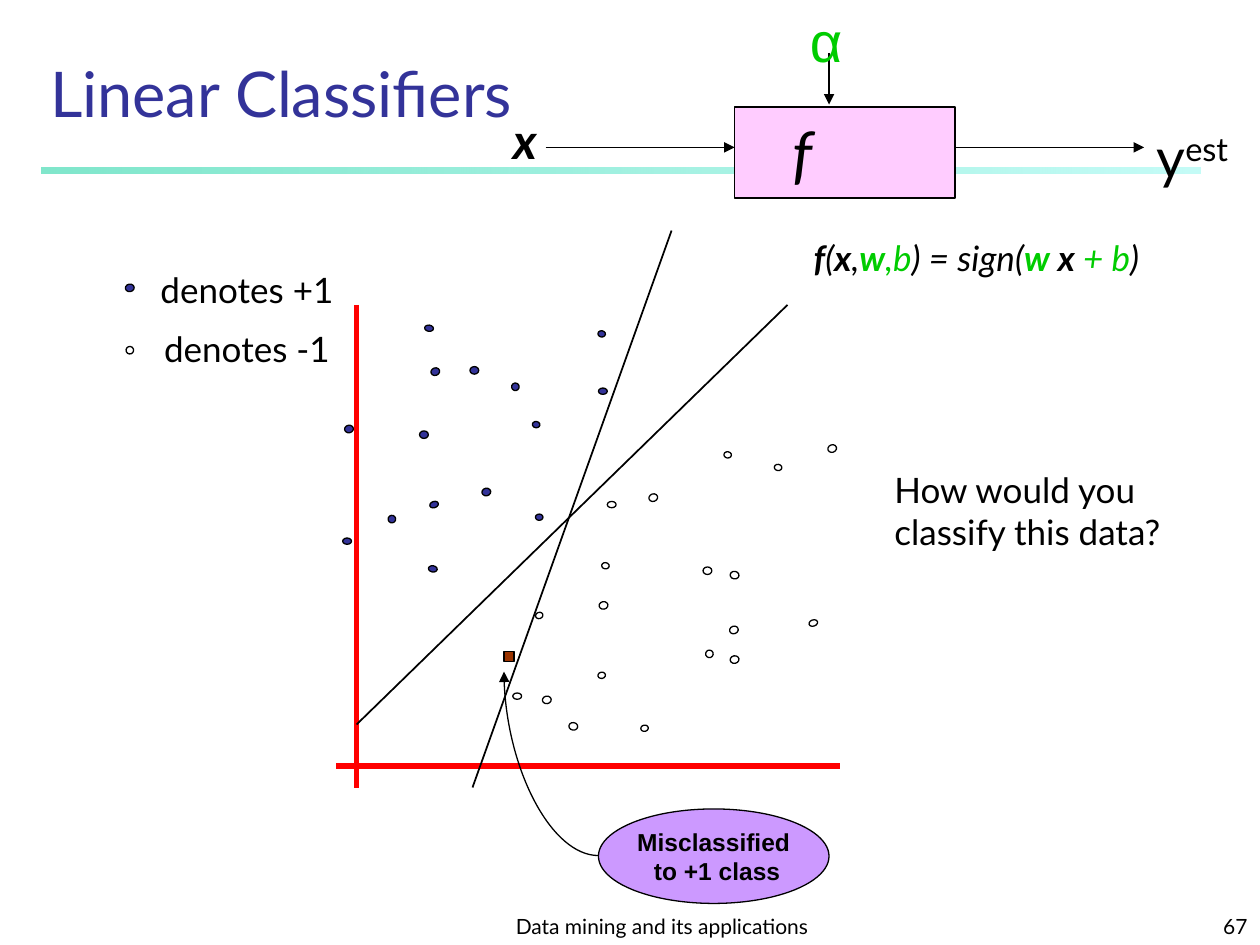
"""Build the Linear Classifiers slide with its scatter plot and block diagram."""
from dataclasses import dataclass

from lxml import etree
from pptx import Presentation
from pptx.dml.color import RGBColor
from pptx.enum.shapes import MSO_CONNECTOR, MSO_SHAPE
from pptx.enum.text import MSO_ANCHOR, MSO_AUTO_SIZE, PP_ALIGN
from pptx.oxml.ns import qn
from pptx.util import Pt

PX = 9144
RECTANGLE, OVAL = MSO_SHAPE.RECTANGLE, MSO_SHAPE.OVAL
STRAIGHT, CURVE = MSO_CONNECTOR.STRAIGHT, MSO_CONNECTOR.CURVE
LEFT, CENTER, RIGHT = PP_ALIGN.LEFT, PP_ALIGN.CENTER, PP_ALIGN.RIGHT
TOP, MIDDLE, BOTTOM = MSO_ANCHOR.TOP, MSO_ANCHOR.MIDDLE, MSO_ANCHOR.BOTTOM


@dataclass(frozen=True)
class Theme:
    body_font: str = "Lato"
    label_font: str = "Arial"
    ink: str = "000000"
    navy: str = "333399"
    green: str = "00CC00"
    red: str = "FF0000"
    white: str = "FFFFFF"
    pink: str = "FFCCFF"
    violet: str = "CC99FF"
    brown: str = "993300"
    bar_start: str = "00CE98"
    bar_end: str = "8FF9EF"
    title: int = 36
    symbol: int = 32
    vector: int = 28
    body: int = 20
    callout: int = 14
    footer: int = 12


THEME = Theme()


def write(frame, paragraphs, size, align=LEFT, anchor=TOP, font=THEME.body_font):
    frame.word_wrap = True
    frame.auto_size = MSO_AUTO_SIZE.NONE
    frame.vertical_anchor = anchor
    for index, runs in enumerate(paragraphs):
        para = frame.paragraphs[0] if index == 0 else frame.add_paragraph()
        para.alignment = align
        for text, color, style in runs:
            span = para.add_run()
            span.text = text
            span.font.name = font
            span.font.size = Pt(size)
            span.font.color.rgb = RGBColor.from_string(color)
            span.font.bold = "b" in style
            span.font.italic = "i" in style
            if "^" in style:
                span.font._element.set("baseline", "30000")


deck = Presentation()
deck.slide_width, deck.slide_height = 1000 * PX, 750 * PX
page = deck.slides.add_slide(deck.slide_layouts[5])
ink, green, navy, white = THEME.ink, THEME.green, THEME.navy, THEME.white

bar = page.shapes.add_shape(RECTANGLE, 33 * PX, 133 * PX, 920 * PX, 5 * PX)
bar.shadow.inherit = False
bar.line.fill.background()
bar.fill.gradient()
bar.fill.gradient_angle = 0
for stop, color in zip(bar.fill.gradient_stops, (THEME.bar_start, THEME.bar_end)):
    stop.color.rgb = RGBColor.from_string(color)
for color_node, alpha in zip(bar._element.spPr.iter(qn("a:srgbClr")), (50, 52)):
    etree.SubElement(color_node, qn("a:alpha")).set("val", str(alpha * 1000))

title = page.shapes.title
title.left, title.top, title.width, title.height = 17 * PX, 33 * PX, 508 * PX, 75 * PX
write(title.text_frame, [[(" Linear Classifiers", navy, "")]], THEME.title, anchor=BOTTOM)

positive_dots = {
    0: [(272, 427, 7, 5), (475, 308, 7, 5), (373, 291, 7, 6), (425, 408, 6, 5),
        (333, 342, 7, 6)],
    341.4: [(342, 292, 7, 6), (341, 398, 7, 5)],
    98.3: [(423, 334, 5, 6), (341, 448, 5, 7), (475, 262, 5, 6), (338, 257, 5, 7)],
    79.6: [(100, 225, 6, 7), (383, 387, 6, 7), (308, 409, 6, 6), (406, 304, 6, 6),
           (274, 337, 6, 7)],
}
negative_dots = {
    0: [(407, 550, 7, 5), (482, 398, 7, 5), (558, 450, 7, 6)],
    341.4: [(425, 486, 6, 5), (657, 353, 7, 6), (579, 497, 7, 6), (515, 392, 7, 6),
            (642, 492, 7, 5)],
    98.3: [(100, 275, 6, 6), (452, 573, 6, 7), (580, 453, 6, 7), (478, 446, 5, 6),
           (615, 368, 5, 6), (575, 358, 5, 6), (560, 516, 6, 6)],
    79.6: [(509, 575, 5, 6), (475, 533, 5, 6), (476, 477, 6, 7), (431, 552, 6, 7),
           (580, 520, 6, 7)],
}
figures = [
    (RECTANGLE, (583, 85, 175, 72), 0, THEME.pink, 1),
    (OVAL, (475, 642, 183, 75), 0, THEME.violet, 0.75),
    (RECTANGLE, (400, 517, 8, 8), 0, THEME.brown, 0.75),
]
for dots, color in ((positive_dots, navy), (negative_dots, white)):
    for angle, places in dots.items():
        figures += [(OVAL, place, angle, color, 0.75) for place in places]

drawn = []
for kind, place, angle, color, weight in figures:
    figure = page.shapes.add_shape(kind, *(value * PX for value in place))
    figure.shadow.inherit = False
    figure.rotation = angle
    figure.fill.solid()
    figure.fill.fore_color.rgb = RGBColor.from_string(color)
    figure.line.color.rgb = RGBColor.from_string(ink)
    figure.line.width = Pt(weight)
    drawn.append(figure)

function_box, callout = drawn[:2]
write(function_box.text_frame, [[("f", ink, "i")]], THEME.title, anchor=MIDDLE)
function_box.text_frame.margin_left = 46 * PX
write(callout.text_frame, [[("Misclassified", ink, "b")], [(" to +1 class", ink, "b")]],
      THEME.callout, CENTER, MIDDLE, THEME.label_font)
callout.text_frame.word_wrap = False

lines = [
    (STRAIGHT, (433, 117, 583, 117), ink, 1, True),
    (STRAIGHT, (658, 42, 658, 83), ink, 1, True),
    (STRAIGHT, (758, 117, 908, 117), ink, 1, True),
    (STRAIGHT, (283, 242, 283, 625), THEME.red, 3, False),
    (STRAIGHT, (267, 608, 667, 608), THEME.red, 3, False),
    (STRAIGHT, (375, 625, 533, 183), ink, 1, False),
    (STRAIGHT, (283, 575, 625, 242), ink, 1, False),
    (CURVE, (400, 533, 475, 679), ink, 0.75, True),
]
for kind, ends, color, weight, arrow in lines:
    line = page.shapes.add_connector(kind, *(value * PX for value in ends))
    line.line.color.rgb = RGBColor.from_string(color)
    line.line.width = Pt(weight)
    properties = line._element.spPr
    if arrow:
        etree.SubElement(properties.find(qn("a:ln")), qn("a:tailEnd")).set("type", "triangle")
    if kind == CURVE:
        properties.find(qn("a:prstGeom")).set("prst", "curvedConnector2")
        properties.find(qn("a:xfrm")).set("rot", str(180 * 60000))
    etree.SubElement(properties, qn("a:effectLst"))

formula = [("f", ink, "bi"), ("(", ink, "i"), ("x", ink, "bi"), (",", ink, "i"),
           ("w", green, "bi"), (",b", green, "i"), (") = sign(", ink, "i"),
           ("w", green, "bi"), (" x", ink, "bi"), (" + b", green, "i"), (")", ink, "i")]
legend = [[("denotes +1", ink, "")], [("denotes -1", ink, "")]]
question = [[("How would you classify this data?", ink, "")]]
footer = [[("Data mining and its applications", ink, "")]]
output = [[("y", ink, ""), ("est", ink, "^")]]
labels = [
    ((383, 83, 67, 57), [[("x", ink, "bi")]], THEME.vector, CENTER, TOP, THEME.body_font),
    ((633, 0, 42, 63), [[("α", green, "")]], THEME.symbol, CENTER, TOP, THEME.label_font),
    ((908, 92, 92, 63), output, THEME.symbol, LEFT, TOP, THEME.body_font),
    ((92, 208, 208, 93), legend, THEME.body, CENTER, TOP, THEME.body_font),
    ((600, 183, 350, 43), [formula], THEME.body, CENTER, TOP, THEME.body_font),
    ((700, 367, 242, 77), question, THEME.body, LEFT, TOP, THEME.body_font),
    ((367, 708, 317, 42), footer, THEME.footer, CENTER, BOTTOM, THEME.body_font),
    ((792, 708, 208, 42), [[("67", ink, "")]], THEME.footer, RIGHT, BOTTOM, THEME.body_font),
]
for place, paragraphs, size, align, anchor, font in labels:
    box = page.shapes.add_textbox(*(value * PX for value in place))
    write(box.text_frame, paragraphs, size, align, anchor, font)
    for para in box.text_frame.paragraphs[1:]:
        para.space_before = Pt(size / 2)

deck.save("out.pptx")
